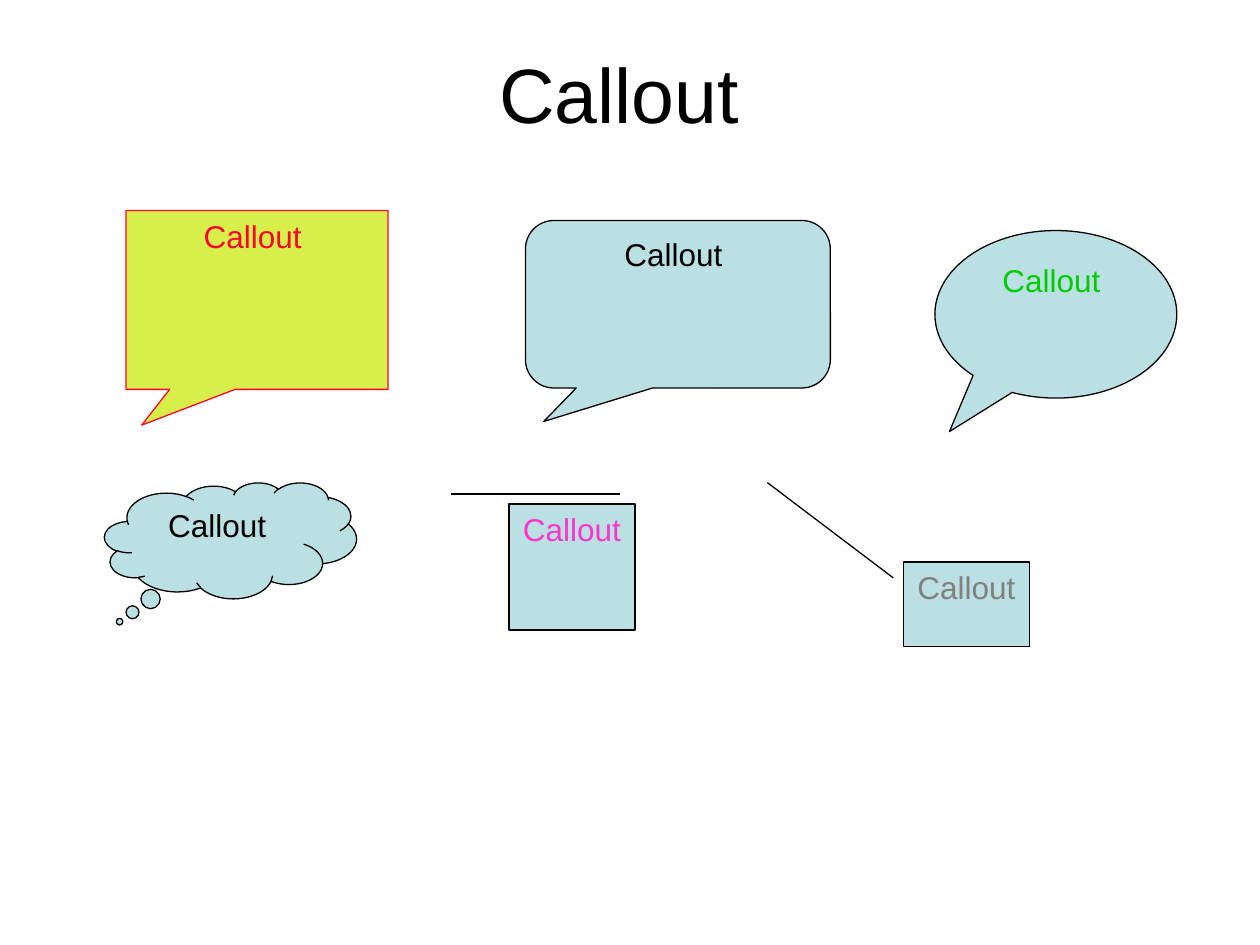
import pptx
import pptx.util
import pptx.dml.color
import pptx.enum.shapes
import pptx.enum.text

Inches = pptx.util.Inches
SHAPE = pptx.enum.shapes.MSO_SHAPE
ANCHOR = pptx.enum.text.MSO_ANCHOR
COLORS = {
    "black": "000000",
    "red": "FA042D",
    "lime": "D8EF4B",
    "pale": "BBE0E3",
    "green": "00CC00",
    "pink": "FF33CC",
    "gray": "808080",
}


def rgb(name):
    return pptx.dml.color.RGBColor.from_string(COLORS[name])


def write(sp, text, size=18, color="black", anchor=ANCHOR.TOP):
    tf = sp.text_frame
    tf.word_wrap = True
    tf.vertical_anchor = anchor
    p = tf.paragraphs[0]
    p.alignment = pptx.enum.text.PP_ALIGN.CENTER
    r = p.add_run()
    r.text = text
    r.font.name = "Arial"
    r.font.size = pptx.util.Pt(size)
    r.font.color.rgb = rgb(color)


prs = pptx.Presentation()
prs.slide_width = Inches(10)
prs.slide_height = Inches(7.5)
s = prs.slides.add_slide(prs.slide_layouts[6])

title = s.shapes.add_textbox(Inches(0.5), Inches(0.3), Inches(9), Inches(0.87))
write(title, "Callout ", size=44, anchor=ANCHOR.MIDDLE)

tail = (-0.44, 0.7)
callouts = [
    (SHAPE.RECTANGULAR_CALLOUT, (1, 1.67, 2.08, 1.42), tail, "lime", "red", "red"),
    (SHAPE.ROUNDED_RECTANGULAR_CALLOUT, (4.17, 1.75, 2.42, 1.33), (*tail, 0.17), "pale", "black", "black"),
    (SHAPE.OVAL_CALLOUT, (7.42, 1.83, 1.92, 1.33), tail, "pale", "black", "green"),
    (SHAPE.CLOUD_CALLOUT, (0.83, 3.83, 2, 0.92), tail, "pale", "black", "black"),
    (SHAPE.LINE_CALLOUT_1, (4.04, 4, 1, 1), (-0.08, 0.88, -0.08, -0.46), "pale", "black", "pink"),
    (SHAPE.LINE_CALLOUT_1, (7.17, 4.46, 1, 0.67), (0.19, -0.08, -0.94, -1.08), "pale", "black", "gray"),
]
for kind, box, adjustments, fill, line, color in callouts:
    sp = s.shapes.add_shape(kind, *map(Inches, box))
    for i, value in enumerate(adjustments):
        sp.adjustments[i] = value
    sp.shadow.inherit = False
    sp.fill.solid()
    sp.fill.fore_color.rgb = rgb(fill)
    sp.line.color.rgb = rgb(line)
    sp.line.width = pptx.util.Pt(0.75)
    write(sp, "Callout ", color=color)

prs.save("out.pptx")
